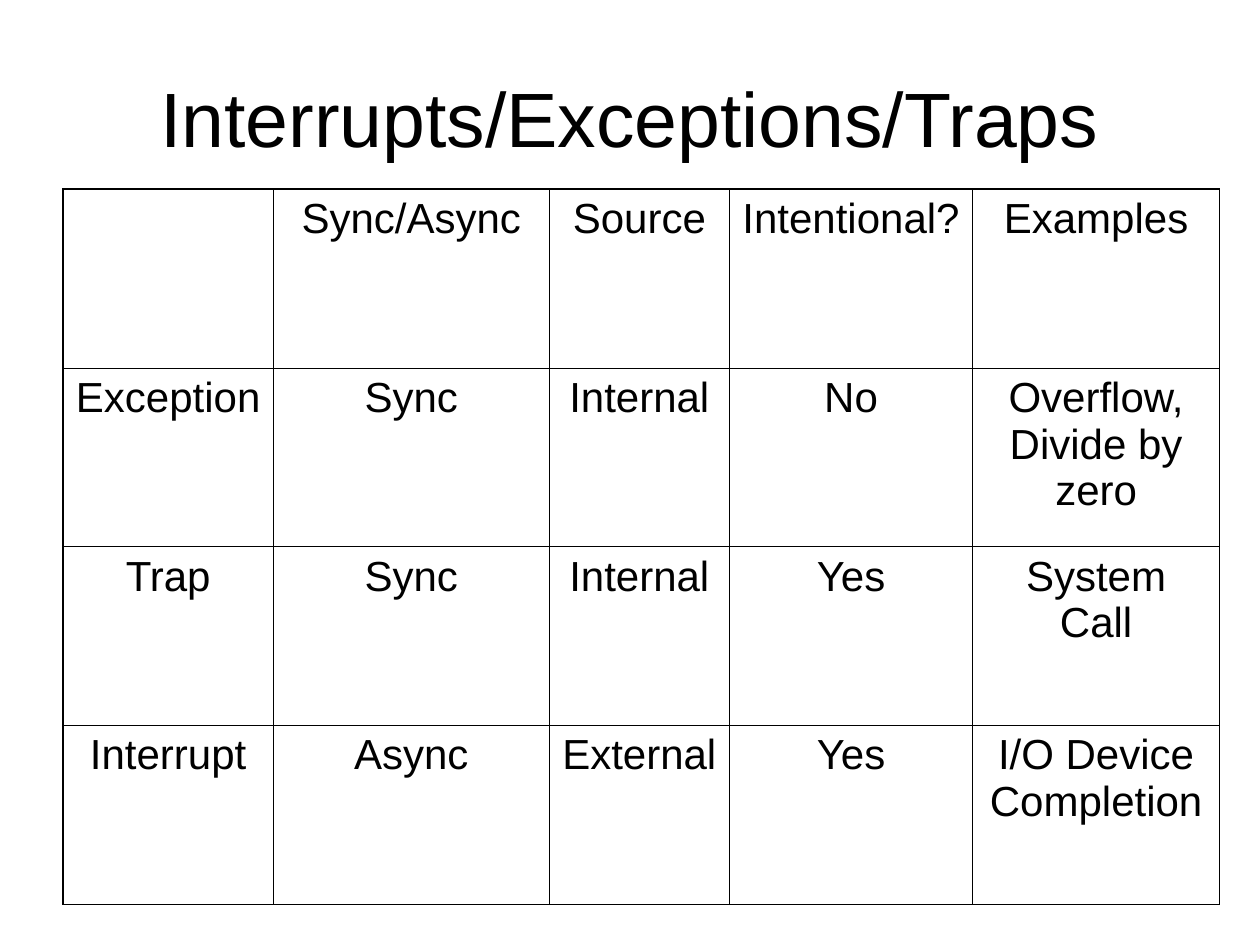
from typing import NamedTuple

from lxml.etree import SubElement
from pptx import Presentation
from pptx.dml.color import RGBColor
from pptx.enum.text import MSO_ANCHOR as Anchor, PP_ALIGN as Align
from pptx.oxml.ns import qn
from pptx.util import Inches, Pt

COLOURS = {"ink": "000000", "paper": "FFFFFF"}
FONT = "Arial"
WIDTH, HEIGHT = Inches(10), Inches(7.5)
OUTER, INNER = 1.08, 0.45
COLUMN_WIDTHS = (1.67, 2.19, 1.43, 1.93, 1.96)
ROW_HEIGHT = 1.42


class Event(NamedTuple):
    name: str
    timing: str
    source: str
    intentional: str
    examples: str


EVENTS = (
    Event("", "Sync/Async", "Source", "Intentional?", "Examples"),
    Event("Exception", "Sync", "Internal", "No", "Overflow, Divide by zero"),
    Event("Trap", "Sync", "Internal", "Yes", "System Call"),
    Event("Interrupt", "Async", "External", "Yes", "I/O Device Completion"),
)


def write(frame, text: str, *, size: float, before: float = 0) -> None:
    para = frame.paragraphs[0]
    para.alignment = Align.CENTER
    para.space_before = Pt(before)
    para.font.size = Pt(size)
    if text:
        span = para.add_run()
        span.text = text
        span.font.name = FONT
        span.font.size = Pt(size)
        span.font.color.rgb = RGBColor.from_string(COLOURS["ink"])


def draw_border(cell, side: str, width: float) -> None:
    line = SubElement(cell._tc.get_or_add_tcPr(), qn(f"a:ln{side}"), w=str(Pt(width)))
    fill = SubElement(line, qn("a:solidFill"))
    SubElement(fill, qn("a:srgbClr"), val=COLOURS["ink"])


def draw_table(page, events: tuple[Event, ...]) -> None:
    rows, columns = len(events), len(COLUMN_WIDTHS)
    table = page.shapes.add_table(
        rows, columns, WIDTH * 0.05, HEIGHT * 0.2,
        Inches(sum(COLUMN_WIDTHS)), Inches(ROW_HEIGHT * rows),
    ).table
    table.first_row = table.horz_banding = False
    for column, width in zip(table.columns, COLUMN_WIDTHS):
        column.width = Inches(width)
    for r, event in enumerate(events):
        table.rows[r].height = Inches(ROW_HEIGHT)
        for c, text in enumerate(event):
            cell = table.cell(r, c)
            edges = {"L": c == 0, "R": c == columns - 1, "T": r == 0, "B": r == rows - 1}
            for side, outside in edges.items():
                draw_border(cell, side, OUTER if outside else INNER)
            cell.fill.background()
            cell.vertical_anchor = Anchor.TOP
            write(cell.text_frame, text, size=24, before=6)


def main() -> None:
    deck = Presentation()
    deck.slide_width, deck.slide_height = WIDTH, HEIGHT
    page = deck.slides.add_slide(deck.slide_layouts[5])
    page.background.fill.solid()
    page.background.fill.fore_color.rgb = RGBColor.from_string(COLOURS["paper"])

    title = page.shapes.title
    title.left, title.top = int(WIDTH * 0.05), int(HEIGHT * 0.04)
    title.width, title.height = int(WIDTH * 0.9), Inches(1.25)
    title.text_frame.vertical_anchor = Anchor.MIDDLE
    write(title.text_frame, "Interrupts/Exceptions/Traps", size=44)

    draw_table(page, EVENTS)
    deck.save("out.pptx")


if __name__ == "__main__":
    main()
